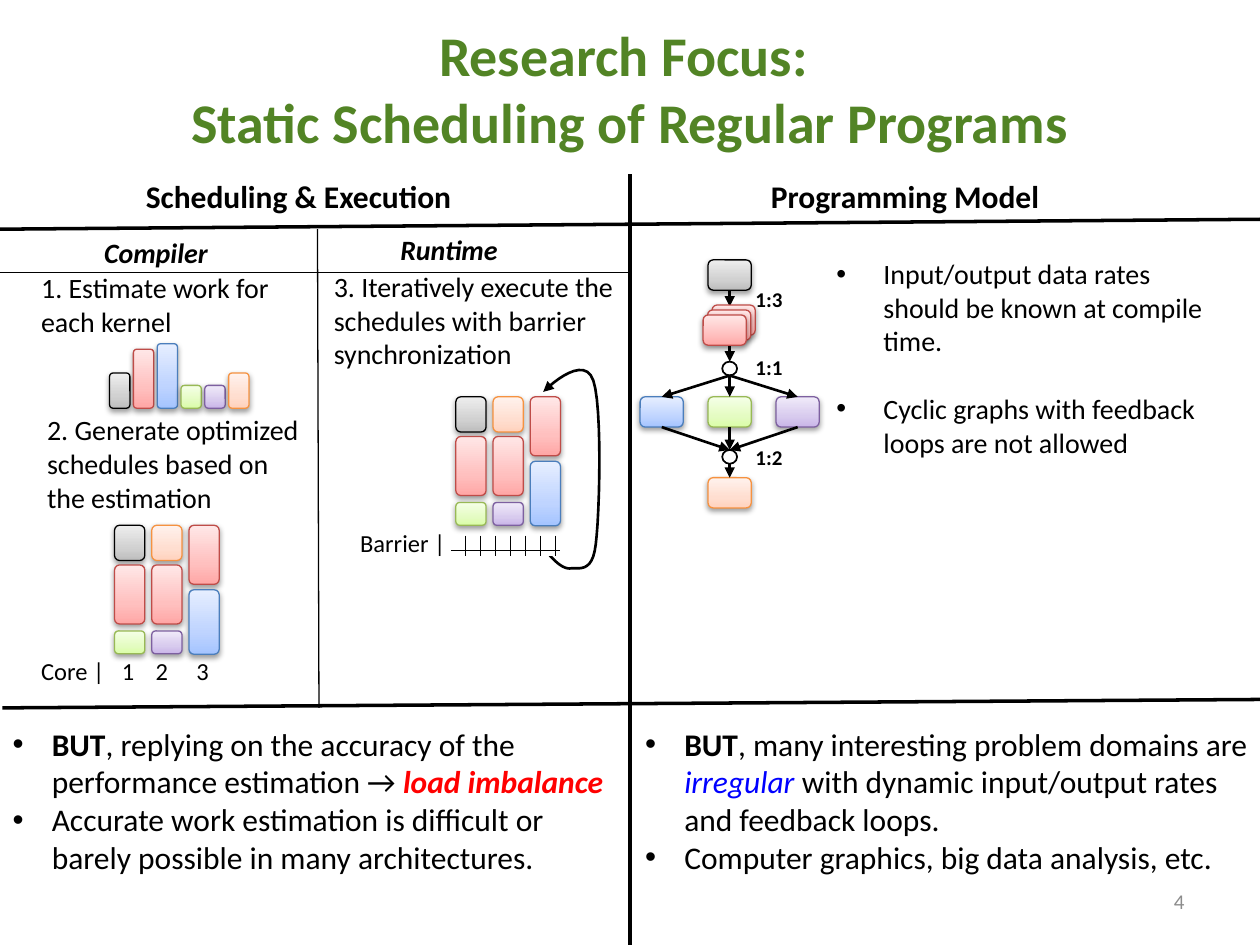
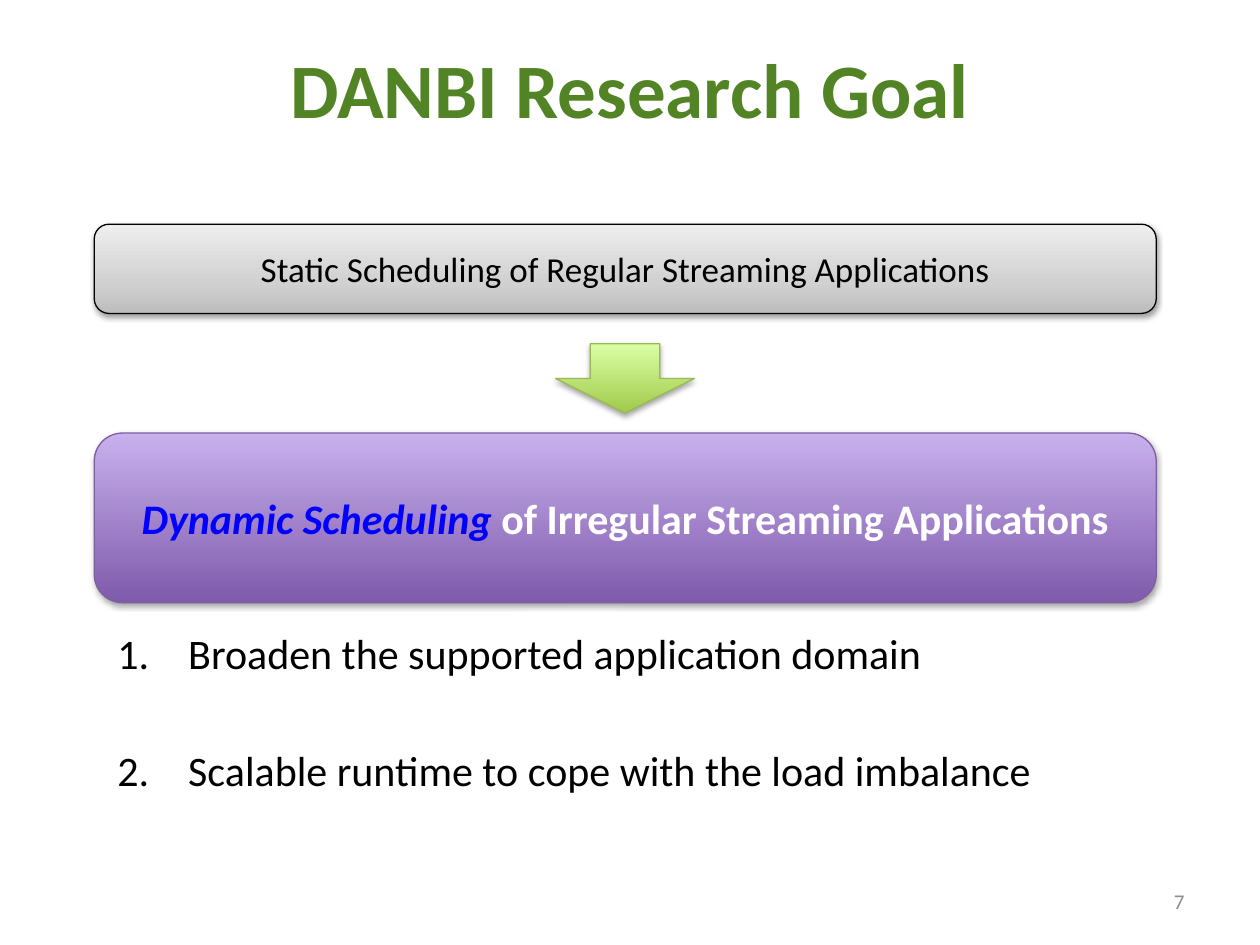
from dataclasses import dataclass
from typing import NamedTuple, Optional

from pptx import Presentation
from pptx.dml.color import RGBColor
from pptx.enum.dml import MSO_PATTERN
from pptx.enum.shapes import MSO_CONNECTOR, MSO_SHAPE
from pptx.enum.text import MSO_ANCHOR, MSO_AUTO_SIZE, PP_ALIGN
from pptx.oxml import parse_xml
from pptx.oxml.ns import nsdecls, qn
from pptx.util import Cm, Pt

FONT = "Calibri"
BLACK = RGBColor(0x00, 0x00, 0x00)
WHITE = RGBColor(0xFF, 0xFF, 0xFF)
GREEN_TITLE = RGBColor(0x52, 0x84, 0x25)
GREY_NUMBER = RGBColor(0x8C, 0x8C, 0x8C)
BLUE = RGBColor(0x00, 0x00, 0xFF)
RED = RGBColor(0xFF, 0x00, 0x00)


@dataclass(frozen=True)
class Tint:
    """Outline colour and gradient stops (percent, colour), from the bottom up."""
    line: RGBColor
    stops: tuple[tuple[int, RGBColor], ...]


def make_tint(line: str, *colors: str) -> Tint:
    places = (0, 35, 100) if len(colors) == 3 else (0, 100)
    return Tint(RGBColor.from_string(line),
                tuple((at, RGBColor.from_string(c)) for at, c in zip(places, colors)))


GREY = make_tint("000000", "BDBDBD", "D1D1D1", "EEEEEE")
PINK = make_tint("BF4C48", "FFA6A5", "FFC0BF", "FFE7E7")
SKY = make_tint("4B7EBC", "A4C4FF", "BFD4FF", "E6EEFF")
LIME = make_tint("98B955", "DAFDA7", "E4FCC2", "F5FFE7")
LILAC = make_tint("7D60A0", "C9B5E8", "D8CBEE", "F0EAF9")
PEACH = make_tint("F69240", "FFD2BD", "FFDED0", "FFF2ED")
STRONG_LIME = make_tint("98B955", "A0CA4A", "DAFFA5")
STRONG_PURPLE = make_tint("7D60A0", "7F5BAB", "C8B0ED")


class Box(NamedTuple):
    """Left, top, width and height in centimetres."""
    x: float
    y: float
    w: float
    h: float

    def emu(self) -> tuple:
        return tuple(Cm(v) for v in self)


class Span(NamedTuple):
    text: str
    bold: bool = False
    italic: bool = False
    color: RGBColor = BLACK


class Label(NamedTuple):
    box: Box
    span: Span
    size: int


class Block(NamedTuple):
    """One kernel run in a schedule: core, offset from the top, height, tint."""
    core: int
    y: float
    h: float
    tint: Tint


class Rule(NamedTuple):
    x1: float
    y1: float
    x2: float
    y2: float
    weight: float


def add_spans(p, spans: list[Span], size: int) -> None:
    for span in spans:
        r = p.add_run()
        r.text = span.text
        f = r.font
        f.name, f.size, f.bold, f.italic = FONT, Pt(size), span.bold, span.italic
        f.color.rgb = span.color


def add_label(slide, label: Label):
    tb = slide.shapes.add_textbox(*label.box.emu())
    tf = tb.text_frame
    tf.word_wrap = True
    add_spans(tf.paragraphs[0], [label.span], label.size)
    return tb


def fill_list(sp, box: Box, items: list[list[Span]], size: int, indent: float,
              gap: float = 0, numbered: bool = False) -> None:
    sp.left, sp.top, sp.width, sp.height = box.emu()
    tf = sp.text_frame
    tf.word_wrap = True
    tf.auto_size = MSO_AUTO_SIZE.NONE
    for i, spans in enumerate(items):
        p = tf.add_paragraph() if i else tf.paragraphs[0]
        pPr = p._p.get_or_add_pPr()
        pPr.set("marL", str(Cm(indent)))
        pPr.set("indent", str(-Cm(indent)))
        face = "+mj-lt" if numbered else "Arial"
        mark = 'buAutoNum type="arabicPeriod"' if numbered else 'buChar char="•"'
        pPr.append(parse_xml(f'<a:buFont {nsdecls("a")} typeface="{face}"/>'))
        pPr.append(parse_xml(f'<a:{mark} {nsdecls("a")}/>'))
        p.space_before = Pt(gap if i else 0)
        add_spans(p, spans, size)


def add_tinted(slide, kind: MSO_SHAPE, box: Box, tint: Tint, alpha: int = 38):
    """Preset shape with a vertical gradient and a soft shadow below."""
    sp = slide.shapes.add_shape(kind, *box.emu())
    sp.fill.gradient()
    sp.fill.gradient_angle = 90
    spPr = sp._element.spPr
    stops = spPr.find(qn("a:gradFill")).find(qn("a:gsLst"))
    stops.clear()
    for at, color in tint.stops:
        stops.append(parse_xml(f'<a:gs {nsdecls("a")} pos="{at * 1000}">'
                               f'<a:srgbClr val="{color}"/></a:gs>'))
    sp.line.color.rgb = tint.line
    sp.line.width = Pt(0.75)
    sp.shadow.inherit = False
    spPr.find(qn("a:effectLst")).append(parse_xml(
        f'<a:outerShdw {nsdecls("a")} blurRad="40000" dist="20000" dir="5400000" '
        f'rotWithShape="0"><a:srgbClr val="000000"><a:alpha val="{alpha * 1000}"/>'
        f'</a:srgbClr></a:outerShdw>'))
    return sp


def add_arrowhead(sp) -> None:
    sp._element.spPr.find(qn("a:ln")).append(
        parse_xml(f'<a:tailEnd {nsdecls("a")} type="triangle"/>'))


def add_rule(slide, rule: Rule):
    cxn = slide.shapes.add_connector(MSO_CONNECTOR.STRAIGHT, *(Cm(v) for v in rule[:4]))
    cxn.line.color.rgb = BLACK
    cxn.line.width = Pt(rule.weight)
    cxn._element.spPr.append(parse_xml(f'<a:effectLst {nsdecls("a")}/>'))
    return cxn


def add_arrow(slide, x1: float, y1: float, x2: float, y2: float,
              source: Optional[object] = None, target: Optional[object] = None) -> None:
    """Arrow from the bottom of source to the top of target, where given."""
    cxn = add_rule(slide, Rule(x1, y1, x2, y2, 1.5))
    add_arrowhead(cxn)
    if source is not None:
        cxn.begin_connect(source, 2)
    if target is not None:
        cxn.end_connect(target, 0)


def start_slide(prs, layout: int, title: list[str], size: int, number: int):
    slide = prs.slides.add_slide(prs.slide_layouts[layout])
    sp = slide.shapes.title
    sp.left, sp.top, sp.width, sp.height = Box(1.27, 0.18, 22.86, 3.18).emu()
    sp.text_frame.vertical_anchor = MSO_ANCHOR.MIDDLE
    p = sp.text_frame.paragraphs[0]
    p.alignment = PP_ALIGN.CENTER
    for i, line in enumerate(title):
        if i:
            p.add_line_break()
        add_spans(p, [Span(line, True, color=GREEN_TITLE)], size)
    tb = add_label(slide, Label(Box(18.2, 17.66, 5.93, 1.01),
                                Span(str(number), color=GREY_NUMBER), 12))
    tb.text_frame.vertical_anchor = MSO_ANCHOR.MIDDLE
    tb.text_frame.paragraphs[0].alignment = PP_ALIGN.RIGHT
    return slide


def draw_stream_graph(slide) -> None:
    mid, node_w, node_h, spread = 14.71, 0.87, 0.61, 1.37
    join_w, join_h = 0.3, 0.28

    def node(center: float, y: float, tint: Tint):
        return add_tinted(slide, MSO_SHAPE.ROUNDED_RECTANGLE,
                          Box(center - node_w / 2, y, node_w, node_h), tint)

    def joint(y: float):
        sp = slide.shapes.add_shape(MSO_SHAPE.OVAL,
                                    *Box(mid - join_w / 2, y, join_w, join_h).emu())
        sp.fill.solid()
        sp.fill.fore_color.rgb = WHITE
        sp.line.color.rgb = BLACK
        sp.line.width = Pt(1)
        sp.shadow.inherit = False
        return sp

    split_y, merge_y = 7.29, 9.07
    split, merge = joint(split_y), joint(merge_y)
    source, sink = node(mid, 5.24, GREY), node(mid, 9.63, PEACH)
    add_arrow(slide, mid, 5.85, mid, 6.18, source)
    add_arrow(slide, mid, 6.38, mid, split_y, target=split)
    for i, tint in enumerate((SKY, LIME, LILAC)):
        center = mid + (i - 1) * spread
        branch = node(center, 8, tint)
        add_arrow(slide, mid, split_y + join_h, center, 8, target=branch)
        add_arrow(slide, center, 8 + node_h, mid, merge_y, branch, merge)
    add_arrow(slide, mid, merge_y + join_h, mid, 9.63, target=sink)
    for i in range(3):
        node(14.79 - 0.09 * i, 6.15 + 0.1 * i, PINK)
    for y, rate in ((5.66, "1:3"), (7.03, "1:1"), (8.84, "1:2")):
        add_label(slide, Label(Box(14.98, y, 1.15, 0.76), Span(rate, True), 12))


def draw_work_estimate(slide) -> None:
    base, width, step = 8.23, 0.41, 0.48
    bars = ((0.71, GREY), (1.19, PINK), (1.3, SKY), (0.46, LIME), (0.46, LILAC), (0.71, PEACH))
    for i, (h, tint) in enumerate(bars):
        add_tinted(slide, MSO_SHAPE.ROUNDED_RECTANGLE,
                   Box(2.21 + i * step, base - h, width, h), tint)


SCHEDULE = (
    Block(0, 0, 0.71, GREY), Block(0, 0.8, 1.19, PINK), Block(0, 2.13, 0.46, LIME),
    Block(1, 0, 0.71, PEACH), Block(1, 0.8, 1.19, PINK), Block(1, 2.13, 0.46, LILAC),
    Block(2, 0, 1.19, PINK), Block(2, 1.3, 1.3, SKY),
)


def draw_schedule(slide, left: float, top: float) -> None:
    for b in SCHEDULE:
        add_tinted(slide, MSO_SHAPE.ROUNDED_RECTANGLE,
                   Box(left + b.core * 0.75, top + b.y, 0.61, b.h), b.tint)


LOOP_START = (10.92, 11.0)
LOOP_CURVES = (
    ((11.1, 11.23), (11.3, 11.46), (11.48, 11.46)),
    ((11.66, 11.43), (11.94, 11.58), (12.01, 10.97)),
    ((12.09, 10.34), (12.14, 8.18), (11.96, 7.67)),
    ((11.79, 7.16), (11.15, 7.7), (10.95, 7.9)),
)


def draw_loop_arrow(slide, steps: int = 12) -> None:
    points, start = [], LOOP_START
    for c1, c2, end in LOOP_CURVES:
        for t in (k / steps for k in range(1, steps + 1)):
            u = 1 - t
            points.append(tuple(
                Cm(u**3 * a + 3 * u * u * t * b + 3 * u * t * t * c + t**3 * d)
                for a, b, c, d in zip(start, c1, c2, end)))
        start = end
    fb = slide.shapes.build_freeform(*(Cm(v) for v in LOOP_START))
    fb.add_line_segments(points, close=False)
    sp = fb.convert_to_shape()
    sp.fill.background()
    sp.line.color.rgb = BLACK
    sp.line.width = Pt(1.5)
    sp.shadow.inherit = False
    add_arrowhead(sp)


def draw_barrier(slide) -> None:
    sp = slide.shapes.add_shape(MSO_SHAPE.RECTANGLE, *Box(9.09, 10.8, 2.21, 0.41).emu())
    sp.fill.patterned()
    sp.fill.pattern = MSO_PATTERN.HORIZONTAL_BRICK
    sp.fill.fore_color.rgb = BLACK
    sp.fill.back_color.rgb = WHITE
    sp.line.fill.background()
    sp.shadow.inherit = False


FOCUS_LABELS = (
    Label(Box(15.29, 3.45, 6.0, 1.02), Span("Programming Model", True), 18),
    Label(Box(2.69, 3.45, 6.77, 1.02), Span("Scheduling & Execution", True), 18),
    Label(Box(1.85, 4.62, 2.8, 0.94), Span("Compiler", True, True), 16),
    Label(Box(7.82, 4.57, 2.65, 0.94), Span("Runtime", True, True), 16),
    Label(Box(0.58, 5.33, 5.31, 1.62), Span("1. Estimate work for each kernel"), 16),
    Label(Box(0.7, 8.2, 5.72, 2.31),
          Span("2. Generate optimized schedules based on the estimation"), 16),
    Label(Box(6.48, 5.31, 6.2, 2.31),
          Span("3. Iteratively execute the schedules with barrier synchronization"), 16),
    Label(Box(7.01, 10.52, 2.3, 0.86), Span("Barrier |"), 14),
)
FOCUS_RULES = (
    Rule(0, 4.62, 25.4, 4.42, 2), Rule(12.7, 3.51, 12.7, 19.05, 2),
    Rule(0.05, 14.27, 25.4, 14.1, 2), Rule(0, 5.49, 12.67, 5.49, 0.75),
    Rule(6.4, 4.62, 6.43, 14.27, 0.75),
)


def build_focus_slide(prs) -> None:
    slide = start_slide(prs, 3, ["Research Focus: ", "Static Scheduling of Regular Programs"], 32, 4)
    fill_list(slide.placeholders[1], Box(0, 14.48, 12.7, 3.33), [
        [Span("BUT", True), Span(", replying on the accuracy of the performance estimation → "),
         Span("load imbalance", True, True, RED)],
        [Span("Accurate work estimation is difficult or barely possible in many architectures.")],
    ], 18, 0.79)
    fill_list(slide.placeholders[2], Box(12.75, 14.48, 12.7, 3.33), [
        [Span("BUT", True), Span(", many interesting problem domains are "),
         Span("irregular ", italic=True, color=BLUE),
         Span("with dynamic input/output rates and feedback loops.")],
        [Span("Computer graphics, big data analysis, etc.")],
    ], 18, 0.79)
    limits = Box(16.61, 5.05, 8.1, 4.37)
    fill_list(slide.shapes.add_textbox(*limits.emu()), limits, [
        [Span("Input/output data rates should be known at compile time.")],
        [Span("Cyclic graphs with feedback loops are not allowed")],
    ], 16, 0.95, gap=19.5)
    draw_stream_graph(slide)
    draw_work_estimate(slide)
    draw_schedule(slide, 2.31, 10.59)
    draw_loop_arrow(slide)
    draw_schedule(slide, 9.19, 8.0)
    draw_barrier(slide)
    for label in FOCUS_LABELS:
        add_label(slide, label)
    cores = add_label(slide, Label(Box(0.58, 13.11, 4.2, 0.86), Span("Core |\t1\t2\t3"), 14))
    tabs = "".join(f'<a:tab pos="{Cm(x)}" algn="l"/>' for x in (1.63, 2.31, 3.13))
    cores.text_frame.paragraphs[0]._p.get_or_add_pPr().append(
        parse_xml(f'<a:tabLst {nsdecls("a")}>{tabs}</a:tabLst>'))
    for rule in FOCUS_RULES:
        add_rule(slide, rule)


def build_goal_slide(prs) -> None:
    slide = start_slide(prs, 1, ["DANBI Research Goal"], 44, 7)
    fill_list(slide.placeholders[1], Box(2.11, 12.52, 21.21, 4.19), [
        [Span("Broaden the supported application domain")],
        [Span("Scalable runtime to cope with the load imbalance")],
    ], 24, 1.43, gap=38, numbered=True)
    banners = (
        (4.52, 1.8, GREY, 38, 20, [Span("Static Scheduling of Regular Streaming Applications")]),
        (8.73, 3.42, STRONG_PURPLE, 35, 24,
         [Span("Dynamic Scheduling", True, True, BLUE),
          Span(" of Irregular Streaming Applications", True, color=WHITE)]),
    )
    for y, h, tint, alpha, size, spans in banners:
        sp = add_tinted(slide, MSO_SHAPE.ROUNDED_RECTANGLE, Box(1.9, y, 21.41, h), tint, alpha)
        sp.text_frame.vertical_anchor = MSO_ANCHOR.MIDDLE
        p = sp.text_frame.paragraphs[0]
        p.alignment = PP_ALIGN.CENTER
        add_spans(p, spans, size)
    add_tinted(slide, MSO_SHAPE.DOWN_ARROW, Box(11.2, 6.93, 2.8, 1.4), STRONG_LIME, 35)


def main() -> None:
    prs = Presentation()
    prs.slide_width, prs.slide_height = Cm(25.4), Cm(19.05)
    build_focus_slide(prs)
    build_goal_slide(prs)
    prs.save("out.pptx")


if __name__ == "__main__":
    main()
